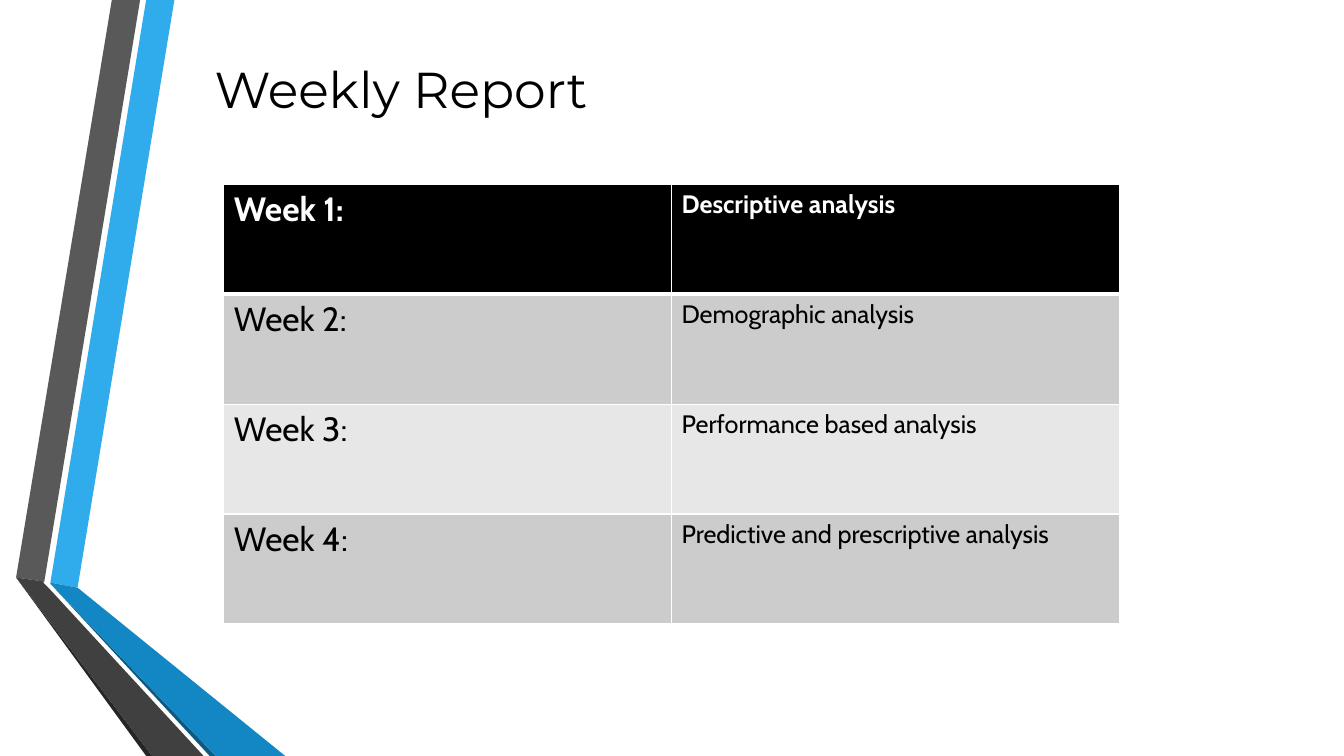
from lxml.etree import SubElement
from pptx import Presentation
from pptx.dml.color import RGBColor
from pptx.enum.text import MSO_AUTO_SIZE as AutoSize
from pptx.oxml.ns import qn
from pptx.util import Pt

PX = 9144
BLACK = RGBColor(0x00, 0x00, 0x00)
WHITE = RGBColor(0xFF, 0xFF, 0xFF)
SKY = RGBColor(0x30, 0xAC, 0xEC)
BLUE = RGBColor(0x12, 0x87, 0xC3)
NAVY = RGBColor(0x0C, 0x5A, 0x82)
GRAY = RGBColor(0x59, 0x59, 0x59)
CHARCOAL = RGBColor(0x40, 0x40, 0x40)
INK = RGBColor(0x26, 0x26, 0x26)
BAND_DARK = RGBColor(0xCC, 0xCC, 0xCC)
BAND_LIGHT = RGBColor(0xE7, 0xE7, 0xE7)

RIBBONS = [
    (SKY, [(34, 578), (61, 583), (157, 0), (129, 0)]),
    (GRAY, [(123, 0), (95, 0), (0, 573), (28, 577)]),
    (INK, [(0, 573), (129, 750), (135, 750)]),
    (NAVY, [(34, 579), (192, 750), (198, 750)]),
    (BLUE, [(34, 579), (198, 750), (267, 750), (61, 583), (34, 578)]),
    (CHARCOAL, [(186, 750), (32, 583), (27, 578), (28, 577), (0, 573), (135, 750)]),
]
WEEKS = [
    ("Week 1:", "Descriptive analysis"),
    ("Week 2:", "Demographic analysis"),
    ("Week 3:", "Performance based analysis"),
    ("Week 4:", "Predictive and prescriptive analysis"),
]


def write(tf, text, font="Cabin", size=18, color=BLACK, bold=False):
    r = tf.paragraphs[0].add_run()
    r.text = text
    r.font.name = font
    r.font.size = Pt(size)
    r.font.color.rgb = color
    r.font.bold = bold


def add_ribbons(s, x, y):
    for color, points in RIBBONS:
        builder = s.shapes.build_freeform(*points[0], scale=PX)
        builder.add_line_segments(points[1:], close=True)
        sp = builder.convert_to_shape(x * PX, y * PX)
        sp.shadow.inherit = False
        sp.fill.solid()
        sp.fill.fore_color.rgb = color
        sp.line.fill.background()


def add_title(s, x, y, w, h):
    tf = s.shapes.add_textbox(x * PX, y * PX, w * PX, h * PX).text_frame
    tf.word_wrap = True
    tf.auto_size = AutoSize.SHAPE_TO_FIT_TEXT
    write(tf, "Weekly Report", font="Montserrat", size=36)


def set_borders(cell, top, bottom):
    tcPr = cell._tc.get_or_add_tcPr()
    for side, width in (("L", 1), ("R", 1), ("T", top), ("B", bottom)):
        ln = SubElement(tcPr, qn(f"a:ln{side}"), w=str(Pt(width)))
        fill = SubElement(ln, qn("a:solidFill"))
        SubElement(fill, qn("a:srgbClr"), val=str(WHITE))


def add_week_table(s, x, y, w, h):
    table = s.shapes.add_table(len(WEEKS), 2, x * PX, y * PX, w * PX, h * PX).table
    for i, week in enumerate(WEEKS):
        header = i == 0
        band = BLACK if header else BAND_DARK if i % 2 else BAND_LIGHT
        for j, (text, size) in enumerate(zip(week, (24, 18))):
            cell = table.cell(i, j)
            set_borders(cell, top=3 if i == 1 else 1, bottom=3 if header else 1)
            cell.fill.solid()
            cell.fill.fore_color.rgb = band
            write(cell.text_frame, text, size=size,
                  color=WHITE if header else BLACK, bold=header)


def main():
    prs = Presentation()
    prs.slide_width, prs.slide_height = 1333 * PX, 750 * PX
    s = prs.slides.add_slide(prs.slide_layouts[6])
    add_ribbons(s, 16, 0)
    add_title(s, 203, 53, 581, 71)
    add_week_table(s, 222, 183, 888, 436)
    prs.save("out.pptx")


if __name__ == "__main__":
    main()
